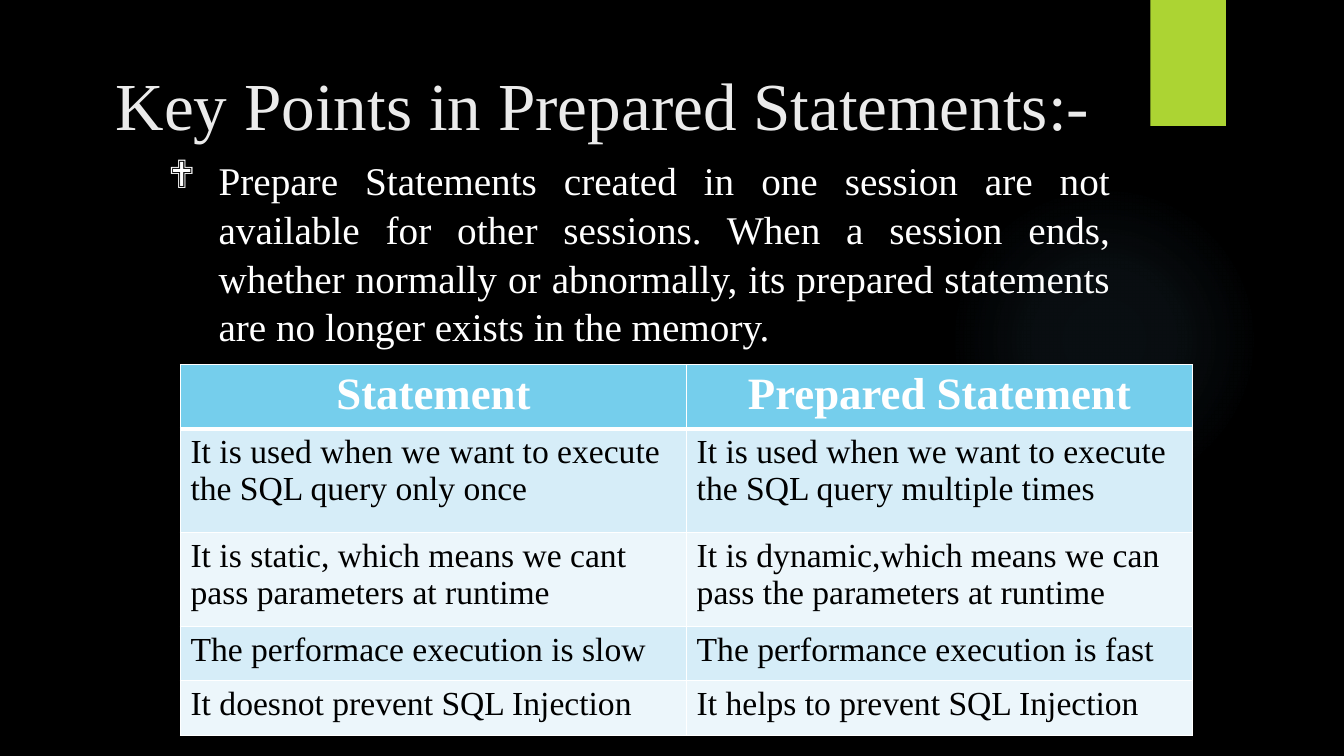
from lxml import etree
from pptx import Presentation
from pptx.dml.color import RGBColor
from pptx.enum.shapes import MSO_SHAPE
from pptx.enum.text import MSO_ANCHOR, PP_ALIGN
from pptx.oxml import parse_xml
from pptx.oxml.ns import nsdecls, qn
from pptx.util import Inches, Pt

COLORS = {
    "background": "000000", "glow": "7AC4F0", "ribbon": "ACD433",
    "title": "EBEBEB", "white": "FFFFFF", "black": "000000",
    "header": "75CEEC", "band": "D6EDF8", "light": "ECF6FB",
}
FONT = "Times New Roman"


def add_run(paragraph, text, size, color, bold=False):
    run = paragraph.add_run()
    run.text = text
    run.font.name = FONT
    run.font.size = Pt(size)
    run.font.bold = bold
    run.font.color.rgb = RGBColor.from_string(COLORS[color])


def add_border(cell, side, width):
    properties = cell._tc.get_or_add_tcPr()
    border = parse_xml(
        f'<a:{side} {nsdecls("a")} w="{Pt(width)}"><a:solidFill>'
        f'<a:srgbClr val="{COLORS["white"]}"/></a:solidFill></a:{side}>')
    properties.insert(len(properties.findall("*")) - 1, border)


prs = Presentation()
prs.slide_width, prs.slide_height = Inches(13.33), Inches(7.5)
slide = prs.slides.add_slide(prs.slide_layouts[6])
slide.background.fill.solid()
slide.background.fill.fore_color.rgb = RGBColor.from_string(COLORS["background"])

glow = slide.shapes.add_shape(
    MSO_SHAPE.OVAL, Inches(9.41), Inches(1.83), Inches(3.08), Inches(3.08))
glow.shadow.inherit = False
glow.line.fill.background()
stops = "".join(
    f'<a:gs pos="{position * 1000}"><a:srgbClr val="{COLORS["glow"]}">'
    f'<a:alpha val="{alpha * 1000}"/></a:srgbClr></a:gs>'
    for position, alpha in [(0, 7), (36, 6), (69, 0)])
glow._element.spPr.find(qn("a:prstGeom")).addnext(parse_xml(
    f'<a:gradFill {nsdecls("a")}><a:gsLst>{stops}</a:gsLst><a:path path="circle">'
    '<a:fillToRect l="50000" t="50000" r="50000" b="50000"/></a:path></a:gradFill>'))

ribbon = slide.shapes.add_shape(
    MSO_SHAPE.RECTANGLE, Inches(11.41), 0, Inches(0.75), Inches(1.25))
ribbon.shadow.inherit = False
ribbon.fill.solid()
ribbon.fill.fore_color.rgb = RGBColor.from_string(COLORS["ribbon"])
ribbon.line.fill.background()
ribbon._element.spPr.find(qn("a:effectLst")).append(parse_xml(
    f'<a:outerShdw {nsdecls("a")} blurRad="{Pt(3)}" dist="{Pt(2)}" dir="5400000">'
    f'<a:srgbClr val="{COLORS["black"]}"><a:alpha val="45000"/></a:srgbClr></a:outerShdw>'))

title = slide.shapes.add_textbox(
    Inches(0.46), Inches(0.21), Inches(11.04), Inches(1.27)).text_frame
title.word_wrap = True
title.vertical_anchor = MSO_ANCHOR.BOTTOM
title.paragraphs[0].alignment = PP_ALIGN.CENTER
add_run(title.paragraphs[0], "Key Points in Prepared Statements:-", 48, "title")

session_note = slide.shapes.add_textbox(
    Inches(1.57), Inches(1.48), Inches(9.54), Inches(2.46)).text_frame
session_note.word_wrap = True
key_point = session_note.paragraphs[0]
key_point.alignment = PP_ALIGN.JUSTIFY
key_point.line_spacing = 1.04
indent = key_point._p.get_or_add_pPr()
indent.set("marL", str(Inches(0.5)))
indent.set("indent", str(Inches(-0.5)))
etree.SubElement(indent, qn("a:buFont")).set("typeface", "Wingdings")
etree.SubElement(indent, qn("a:buChar")).set("char", "❖")
add_run(key_point,
        "Prepare Statements created in one session are not available for other "
        "sessions. When a session ends, whether normally or abnormally, its prepared "
        "statements are no longer exists in the memory.", 28, "white")

comparison = [
    ("Statement", "Prepared Statement"),
    ("It is used when we want to execute the SQL query only once",
     "It is used when we want to execute the SQL query multiple times"),
    ("It is static, which means we cant pass parameters at runtime",
     "It is dynamic,which means we can pass the parameters at runtime"),
    ("The performace execution is slow", "The performance execution is fast"),
    ("It doesnot prevent SQL Injection", "It helps to prevent SQL Injection"),
]
row_heights = [0.54, 1.03, 0.93, 0.54, 0.54]
table = slide.shapes.add_table(
    len(comparison), 2, Inches(1.79), Inches(3.62), Inches(10.04), Inches(3.58)).table
for column in table.columns:
    column.width = Inches(5.02)
for index, (row, height, texts) in enumerate(zip(table.rows, row_heights, comparison)):
    row.height = Inches(height)
    is_header = index == 0
    fill = "header" if is_header else "band" if index % 2 else "light"
    for cell, text in zip(row.cells, texts):
        cell.fill.solid()
        cell.fill.fore_color.rgb = RGBColor.from_string(COLORS[fill])
        for side in ("lnL", "lnR", "lnT", "lnB"):
            thick = (is_header and side == "lnB") or (index == 1 and side == "lnT")
            add_border(cell, side, 3 if thick else 1)
        paragraph = cell.text_frame.paragraphs[0]
        if is_header:
            paragraph.alignment = PP_ALIGN.CENTER
            add_run(paragraph, text, 32, "white", bold=True)
        else:
            add_run(paragraph, text, 24, "black")

prs.save("out.pptx")
